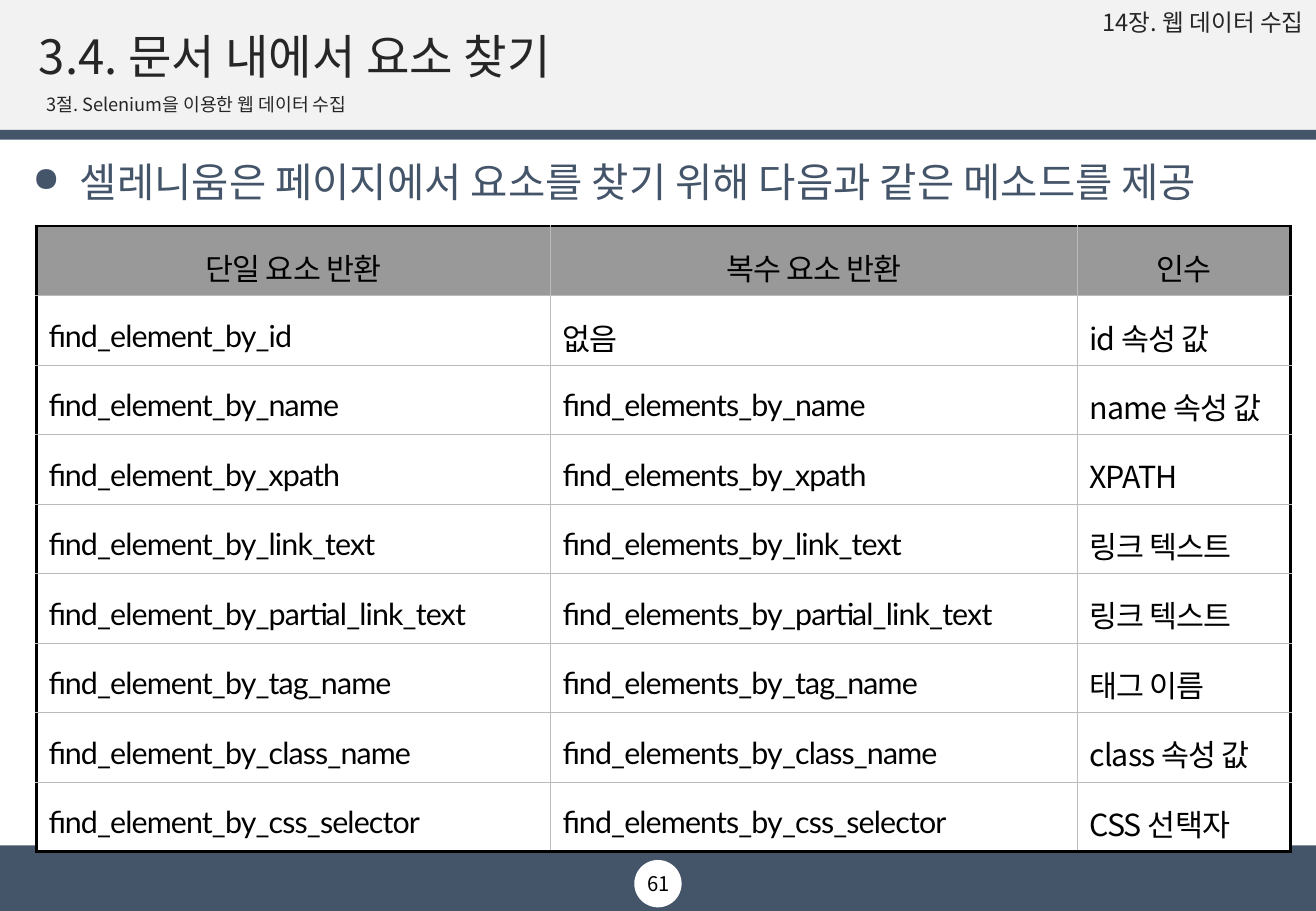
from dataclasses import dataclass

from lxml import etree
from pptx import Presentation
from pptx.dml.color import RGBColor
from pptx.enum.shapes import MSO_SHAPE
from pptx.enum.text import MSO_ANCHOR, PP_ALIGN
from pptx.oxml.ns import qn
from pptx.util import Inches, Pt

RECT, OVAL = MSO_SHAPE.RECTANGLE, MSO_SHAPE.OVAL
TOP, MIDDLE = MSO_ANCHOR.TOP, MSO_ANCHOR.MIDDLE
LEFT, CENTER = PP_ALIGN.LEFT, PP_ALIGN.CENTER
RIGHT, JUSTIFY = PP_ALIGN.RIGHT, PP_ALIGN.JUSTIFY

WIDTH, HEIGHT = Inches(10.83), Inches(7.5)
KOREAN, LATIN = "Noto Sans CJK KR", "Lato"
NAVY, PALE, WHITE, BLACK = "445469", "F2F2F2", "FFFFFF", "000000"
INK, HEAD, GRID = "262626", "999999", "BBBBBB"


@dataclass
class Box:
    """A frame in percent of the slide's width and height."""
    x: float
    y: float
    w: float
    h: float

    def emu(self) -> tuple[int, int, int, int]:
        return (int(WIDTH * self.x / 100), int(HEIGHT * self.y / 100),
                int(WIDTH * self.w / 100), int(HEIGHT * self.h / 100))


@dataclass
class Panel:
    box: Box
    color: str
    kind: int = RECT


@dataclass
class Label:
    box: Box
    text: str
    size: float
    color: str = INK
    align: int = LEFT
    anchor: int = MIDDLE
    spacing: float = 1.0
    insets: tuple[float, float, float, float] = (0.1, 0.05, 0.1, 0.05)
    bullet: bool = False


PANELS = [
    Panel(Box(0, 0, 100, 14.27), PALE),
    Panel(Box(0, 93.87, 100, 6.13), NAVY),
    Panel(Box(0, 92.8, 100, 1.07), NAVY),
    Panel(Box(0, 14.27, 100, 1.07), NAVY),
    Panel(Box(48.2, 94.4, 3.6, 5.2), WHITE, OVAL),
]
TITLE = Label(Box(2.03, 2.8, 95.94, 7.33), "3.4. 문서 내에서 요소 찾기", 28, spacing=0.9)
LABELS = [
    Label(Box(82.55, 0.67, 16.9, 3.87), "14장. 웹 데이터 수집", 14, align=RIGHT,
          anchor=TOP, spacing=0.9, insets=(0.04, 0.04, 0.04, 0.04)),
    Label(Box(1.57, 15.47, 96.4, 8), "셀레니움은 페이지에서 요소를 찾기 위해 다음과 같은 메소드를 제공",
          24, NAVY, anchor=TOP, spacing=1.2, bullet=True),
    Label(Box(2.77, 10.13, 95.29, 3.2), "3절. Selenium을 이용한 웹 데이터 수집", 10.8,
          spacing=0.7, insets=(0.08, 0.05, 0.1, 0.05)),
    Label(Box(38.78, 94.4, 22.53, 5.2), "61", 12, BLACK, CENTER),
]

TABLE_BOX = Box(2.77, 24.8, 95.29, 68.67)
COLUMN_SHARES = (0.41, 0.42, 0.17)
HEADINGS = ("단일 요소 반환", "복수 요소 반환", "인수")
LOCATORS = [
    ("id", "id 속성 값"), ("name", "name 속성 값"), ("xpath", "XPATH"),
    ("link_text", "링크 텍스트"), ("partial_link_text", "링크 텍스트"),
    ("tag_name", "태그 이름"), ("class_name", "class 속성 값"),
    ("css_selector", "CSS 선택자"),
]


def rgb(color: str) -> RGBColor:
    return RGBColor.from_string(color)


def style_run(r, size: float, color: str, font: str = KOREAN) -> None:
    r.font.size = Pt(size)
    r.font.color.rgb = rgb(color)
    r.font.name = font
    ea = etree.SubElement(r.font._element, qn("a:ea"))
    ea.set("typeface", KOREAN)


def add_bullet(p) -> None:
    props = p._p.get_or_add_pPr()
    props.set("marL", str(Inches(0.39)))
    props.set("indent", str(-Inches(0.39)))
    etree.SubElement(props, qn("a:buSzPct")).set("val", "85000")
    etree.SubElement(props, qn("a:buChar")).set("char", "●")


def write_label(s, label: Label) -> None:
    s.left, s.top, s.width, s.height = label.box.emu()
    tf = s.text_frame
    tf.text = label.text
    tf.word_wrap = True
    tf.vertical_anchor = label.anchor
    tf.margin_left, tf.margin_top, tf.margin_right, tf.margin_bottom = map(Inches, label.insets)
    p = tf.paragraphs[0]
    p.alignment = label.align
    p.line_spacing = label.spacing
    if label.bullet:
        add_bullet(p)
    style_run(p.runs[0], label.size, label.color)


def draw_panel(slide, panel: Panel) -> None:
    s = slide.shapes.add_shape(panel.kind, *panel.box.emu())
    s.shadow.inherit = False
    s.fill.solid()
    s.fill.fore_color.rgb = rgb(panel.color)
    s.line.fill.background()


def set_border(cell, side: str, outer: bool) -> None:
    line = etree.SubElement(cell._tc.get_or_add_tcPr(), qn(f"a:{side}"))
    line.set("w", str(Pt(1.7 if outer else 0.28)))
    fill = etree.SubElement(line, qn("a:solidFill"))
    etree.SubElement(fill, qn("a:srgbClr")).set("val", BLACK if outer else GRID)


def write_cell(cell, text: str, heading: bool) -> None:
    cell.fill.solid()
    cell.fill.fore_color.rgb = rgb(HEAD if heading else WHITE)
    cell.vertical_anchor = MIDDLE
    cell.text_frame.text = text
    p = cell.text_frame.paragraphs[0]
    p.alignment = CENTER if heading else JUSTIFY
    p.line_spacing = 1.3
    r = p.runs[0]
    style_run(r, 18, BLACK, LATIN if text.startswith("find_") else KOREAN)
    r.font._element.set("spc", "-50")


def draw_table(slide) -> None:
    rows = [HEADINGS]
    for name, argument in LOCATORS:
        plural = "없음" if name == "id" else f"find_elements_by_{name}"
        rows.append((f"find_element_by_{name}", plural, argument))
    last_row, last_col = len(rows) - 1, len(HEADINGS) - 1
    frame = slide.shapes.add_table(len(rows), len(HEADINGS), *TABLE_BOX.emu())
    table = frame.table
    width = frame.width
    for column, share in zip(table.columns, COLUMN_SHARES):
        column.width = int(width * share)
    for i, row in enumerate(rows):
        for j, text in enumerate(row):
            cell = table.cell(i, j)
            edges = {"lnL": j == 0, "lnR": j == last_col, "lnT": i == 0, "lnB": i == last_row}
            for side, outer in edges.items():
                set_border(cell, side, outer)
            write_cell(cell, text, heading=i == 0)


def main() -> None:
    prs = Presentation()
    prs.slide_width, prs.slide_height = WIDTH, HEIGHT
    slide = prs.slides.add_slide(prs.slide_layouts.get_by_name("Title Only"))
    for panel in PANELS:
        draw_panel(slide, panel)
    title = slide.shapes.title
    slide.shapes._spTree.append(title._element)
    write_label(title, TITLE)
    for label in LABELS:
        write_label(slide.shapes.add_textbox(*label.box.emu()), label)
    draw_table(slide)
    prs.save("out.pptx")


if __name__ == "__main__":
    main()
